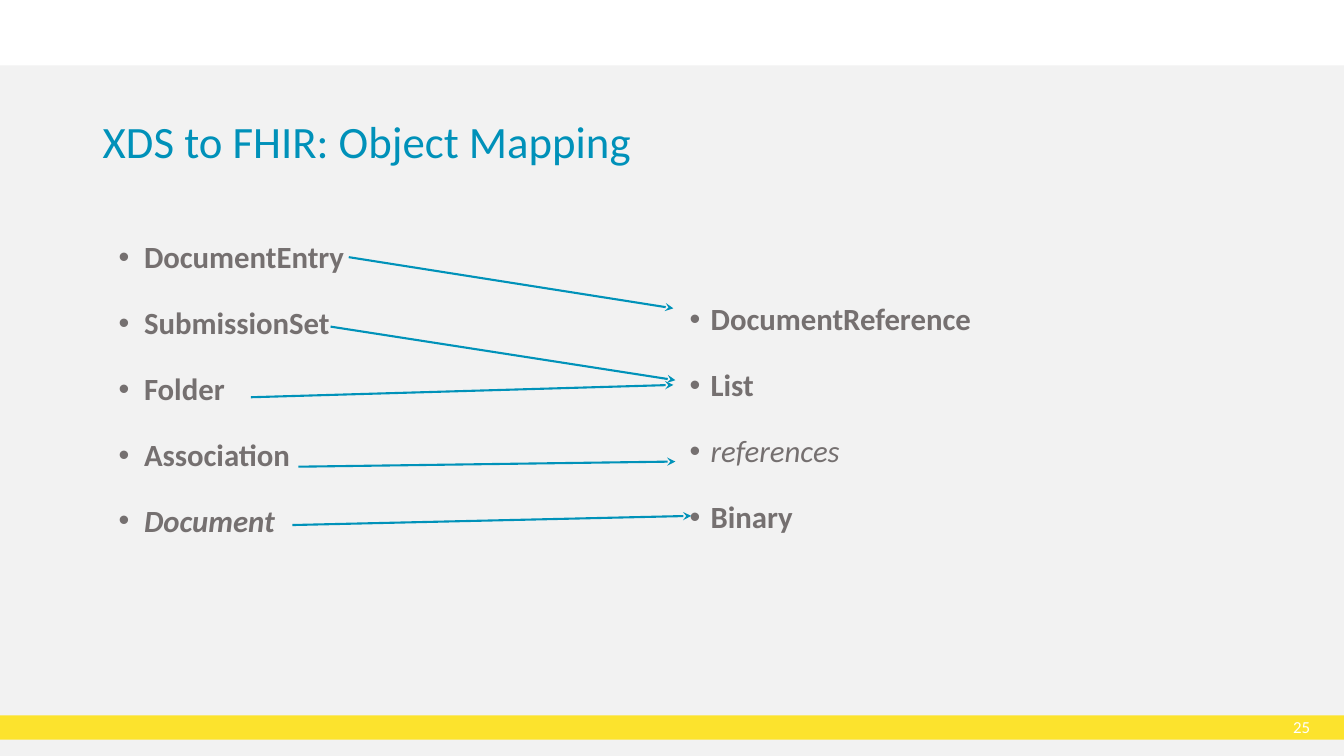
from dataclasses import dataclass

from lxml import etree
from pptx import Presentation
from pptx import util as u
from pptx.dml.color import RGBColor
from pptx.enum import shapes, text
from pptx.oxml.ns import qn


@dataclass(frozen=True)
class Theme:
    font: str = "Calibri"
    panel: str = "F2F2F2"
    footer: str = "FCE32D"
    title: str = "0091B9"
    arrow: str = "0092B9"
    body: str = "757070"
    page: str = "FFFFFF"
    title_size: float = 32
    body_size: float = 22
    page_size: float = 12
    line_spacing: float = 0.9
    item_gap: float = 23.3
    arrow_width: float = 1.5


class MappingSlide:
    def __init__(self, slide, theme):
        self.slide = slide
        self.theme = theme

    def band(self, left, top, width, height, color):
        band = self.slide.shapes.add_shape(
            shapes.MSO_SHAPE.RECTANGLE, *map(u.Cm, (left, top, width, height)))
        band.shadow.inherit = False
        band.fill.solid()
        band.fill.fore_color.rgb = RGBColor.from_string(color)
        band.line.fill.background()

    def frame(self, left, top, width, height, insets=(0.25, 0.13, 0.25, 0.13)):
        frame = self.slide.shapes.add_textbox(
            *map(u.Cm, (left, top, width, height))).text_frame
        frame.word_wrap = True
        frame.auto_size = text.MSO_AUTO_SIZE.NONE
        (frame.margin_left, frame.margin_top,
         frame.margin_right, frame.margin_bottom) = map(u.Cm, insets)
        return frame

    def run(self, paragraph, words, size, color, bold=False, italic=False):
        run = paragraph.add_run()
        run.text = words
        font = run.font
        font.name, font.size = self.theme.font, u.Pt(size)
        font.bold, font.italic = bold, italic
        font.color.rgb = RGBColor.from_string(color)

    def title(self, words, *box):
        heading = self.frame(*box).paragraphs[0]
        heading.line_spacing = self.theme.line_spacing
        self.run(heading, words, self.theme.title_size, self.theme.title)

    def page_number(self, words, *box):
        frame = self.frame(*box, insets=(0, 0, 0.1, 0))
        frame.vertical_anchor = text.MSO_ANCHOR.MIDDLE
        number = frame.paragraphs[0]
        number.alignment = text.PP_ALIGN.RIGHT
        self.run(number, words, self.theme.page_size, self.theme.page)

    def bullet(self, paragraph, hanging):
        props = paragraph._p.get_or_add_pPr()
        props.set("marL", str(u.Cm(0.64)))
        props.set("indent", str(-u.Cm(hanging)))
        color = etree.SubElement(props, qn("a:buClr"))
        etree.SubElement(color, qn("a:srgbClr"), val=self.theme.body)
        etree.SubElement(props, qn("a:buFont"), typeface="Arial")
        etree.SubElement(props, qn("a:buChar"), char="•")

    def bullets(self, items, box, hanging, top_inset=0.13):
        frame = self.frame(*box, insets=(0.25, top_inset, 0.25, 0.13))
        for index, (words, bold, italic) in enumerate(items):
            item = frame.add_paragraph() if index else frame.paragraphs[0]
            self.bullet(item, hanging)
            item.line_spacing = self.theme.line_spacing
            if index:
                item.space_before = u.Pt(self.theme.item_gap)
            self.run(item, words, self.theme.body_size, self.theme.body, bold, italic)

    def arrow(self, *ends):
        arrow = self.slide.shapes.add_connector(
            shapes.MSO_CONNECTOR.STRAIGHT, *map(u.Cm, ends))
        arrow.line.color.rgb = RGBColor.from_string(self.theme.arrow)
        arrow.line.width = u.Pt(self.theme.arrow_width)
        etree.SubElement(arrow.line._get_or_add_ln(), qn("a:tailEnd"), type="stealth")
        etree.SubElement(arrow._element.spPr, qn("a:effectLst"))


def main():
    deck = Presentation()
    deck.slide_width, deck.slide_height = u.Cm(33.87), u.Cm(19.05)
    theme = Theme()
    mapping = MappingSlide(deck.slides.add_slide(deck.slide_layouts[6]), theme)

    # Background, footer and heading
    mapping.band(0, 1.65, 33.87, 17.4, theme.panel)
    mapping.band(0, 18.03, 33.87, 0.61, theme.footer)
    mapping.page_number("25", 31.98, 18.03, 1.14, 0.58)
    mapping.title("XDS to FHIR: Object Mapping", 2.34, 2.9, 29.21, 2.46)

    # FHIR resources on the right, XDS objects on the left: words, bold, italic
    fhir_resources = [
        ("DocumentReference", True, False),
        ("List", True, False),
        ("references", False, True),
        ("Binary", True, False),
    ]
    xds_objects = [
        ("DocumentEntry", True, False),
        ("SubmissionSet", True, False),
        ("Folder", True, False),
        ("Association", True, False),
        ("Document", True, True),
    ]
    mapping.bullets(fhir_resources, (17.02, 5.77, 14.6, 11.73), 0.53, top_inset=1.89)
    mapping.bullets(xds_objects, (2.74, 5.97, 12.24, 7.26), 0.66)

    # One arrow per XDS object
    for ends in [
        (8.79, 6.48, 16.97, 7.77),
        (8.33, 8.23, 17.02, 9.58),
        (6.32, 10.01, 16.97, 9.7),
        (7.52, 11.76, 17.02, 11.63),
        (7.37, 13.23, 17.42, 13),
    ]:
        mapping.arrow(*ends)

    deck.save("out.pptx")


if __name__ == "__main__":
    main()
